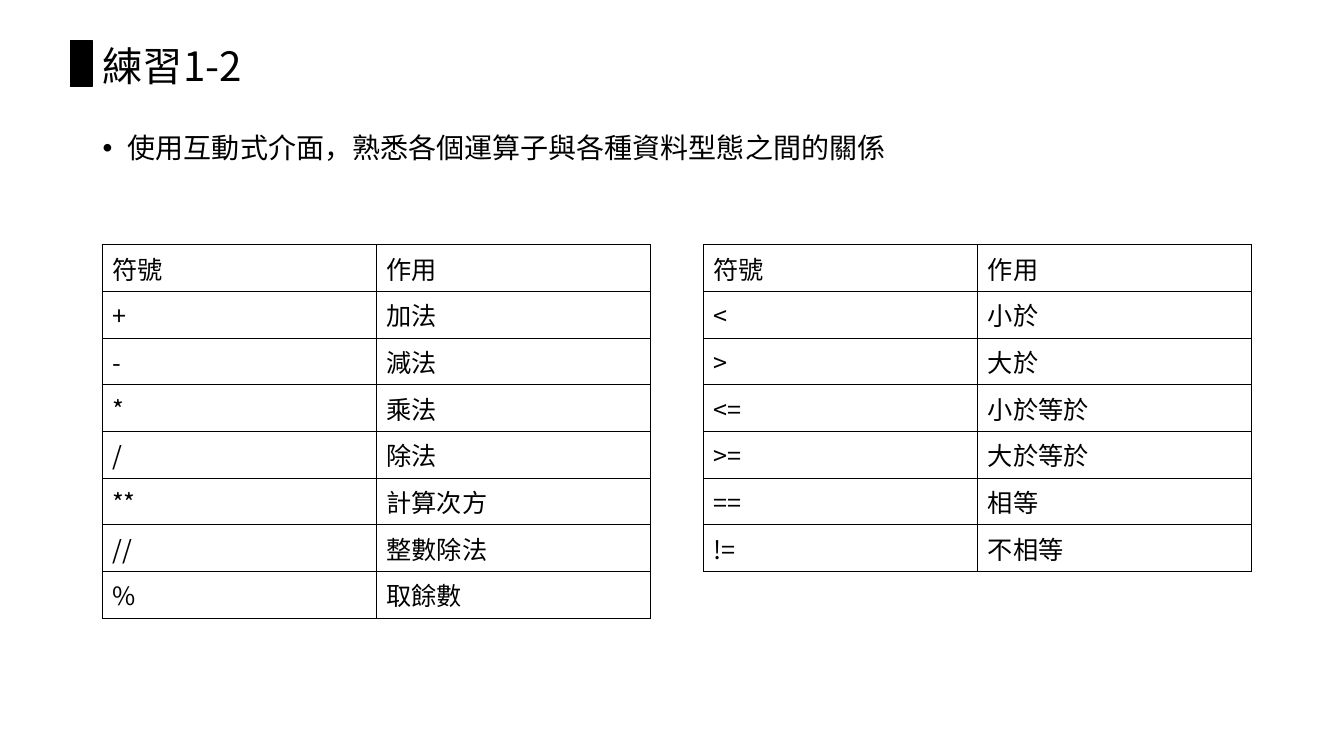
from pptx import Presentation
from pptx.dml.color import RGBColor
from pptx.enum.shapes import MSO_SHAPE
from pptx.enum.text import MSO_ANCHOR
from pptx.oxml import parse_xml
from pptx.oxml.ns import nsdecls
from pptx.util import Inches, Pt

RECT = MSO_SHAPE.RECTANGLE
TOP, MIDDLE = MSO_ANCHOR.TOP, MSO_ANCHOR.MIDDLE
BLACK, WHITE = "000000", "FFFFFF"
HEAD = ("符號", "作用")
MATH = [HEAD, ("+", "加法"), ("-", "減法"), ("*", "乘法"), ("/", "除法"),
        ("**", "計算次方"), ("//", "整數除法"), ("%", "取餘數")]
COMPARE = [HEAD, ("<", "小於"), (">", "大於"), ("<=", "小於等於"),
           (">=", "大於等於"), ("==", "相等"), ("!=", "不相等")]


def color(code):
    return RGBColor.from_string(code)


def node(tag, attrs="", inner=""):
    return parse_xml(f"<a:{tag} {nsdecls('a')} {attrs}>{inner}</a:{tag}>")


class Page:
    """Draws on one slide; places and sizes are percent of the slide."""
    face = "Noto Sans CJK TC"
    ink = BLACK

    def __init__(self, deck):
        self.deck = deck
        self.slide = deck.slides.add_slide(deck.slide_layouts[6])

    def area(self, x, y, w, h):
        wide, high = self.deck.slide_width, self.deck.slide_height
        return [int(share * side / 100)
                for share, side in ((x, wide), (y, high), (w, wide), (h, high))]

    def style(self, para, size):
        font = para.font
        font.size, font.name = Pt(size), self.face
        font.color.rgb = color(self.ink)
        # The East Asian face follows the Latin one.
        para._p.pPr.find(".//{*}latin").addnext(
            node("ea", f'typeface="{self.face}"'))

    def block(self, *place):
        shape = self.slide.shapes.add_shape(RECT, *self.area(*place))
        shape.shadow.inherit = False
        shape.fill.solid()
        shape.fill.fore_color.rgb = color(self.ink)
        shape.line.color.rgb = color(self.ink)
        shape.line.width = Pt(1)

    def text(self, words, size, place, anchor=TOP, bullet=False):
        frame = self.slide.shapes.add_textbox(*self.area(*place)).text_frame
        frame.word_wrap = True
        frame.vertical_anchor = anchor
        para = frame.paragraphs[0]
        para.text = words
        para.line_spacing = 0.9
        if bullet:
            props = para._p.get_or_add_pPr()
            props.set("marL", str(Inches(0.25)))
            props.set("indent", str(Inches(-0.25)))
            props.append(node("buFont", 'typeface="Arial"'))
            props.append(node("buChar", 'char="•"'))
        self.style(para, size)

    def border(self, cell):
        props = cell._tc.get_or_add_tcPr()
        fill = f'<a:solidFill><a:srgbClr val="{self.ink}"/></a:solidFill>'
        for spot, side in enumerate("LRTB"):
            props.insert(spot, node(f"ln{side}", f'w="{Pt(0.75)}"', fill))

    def table(self, rows, x, y, w, row):
        """Draws rows of equal height, given by row."""
        place = self.area(x, y, w, row * len(rows))
        grid = self.slide.shapes.add_table(
            len(rows), len(rows[0]), *place).table
        grid.first_row = grid.horz_banding = False
        for r, words in enumerate(rows):
            for c, word in enumerate(words):
                cell = grid.cell(r, c)
                cell.text = word
                cell.vertical_anchor = MIDDLE
                cell.fill.solid()
                cell.fill.fore_color.rgb = color(WHITE)
                self.border(cell)
                self.style(cell.text_frame.paragraphs[0], 18)


def main():
    deck = Presentation()
    deck.slide_width, deck.slide_height = Inches(13.33), Inches(7.5)
    page = Page(deck)
    page.block(5.25, 5.33, 1.6, 6.13)
    page.text("練習1-2", 28.8, (6.9, 5.33, 86.25, 7.47), MIDDLE)
    page.text("使用互動式介面，熟悉各個運算子與各種資料型態之間的關係", 20,
              (6.9, 17.07, 86.25, 73.07), bullet=True)
    for i, rows in enumerate((MATH, COMPARE)):
        page.table(rows, 7.6 + 44.75 * i, 32.4, 40.8, 6.17)
    deck.save("out.pptx")


if __name__ == "__main__":
    main()
